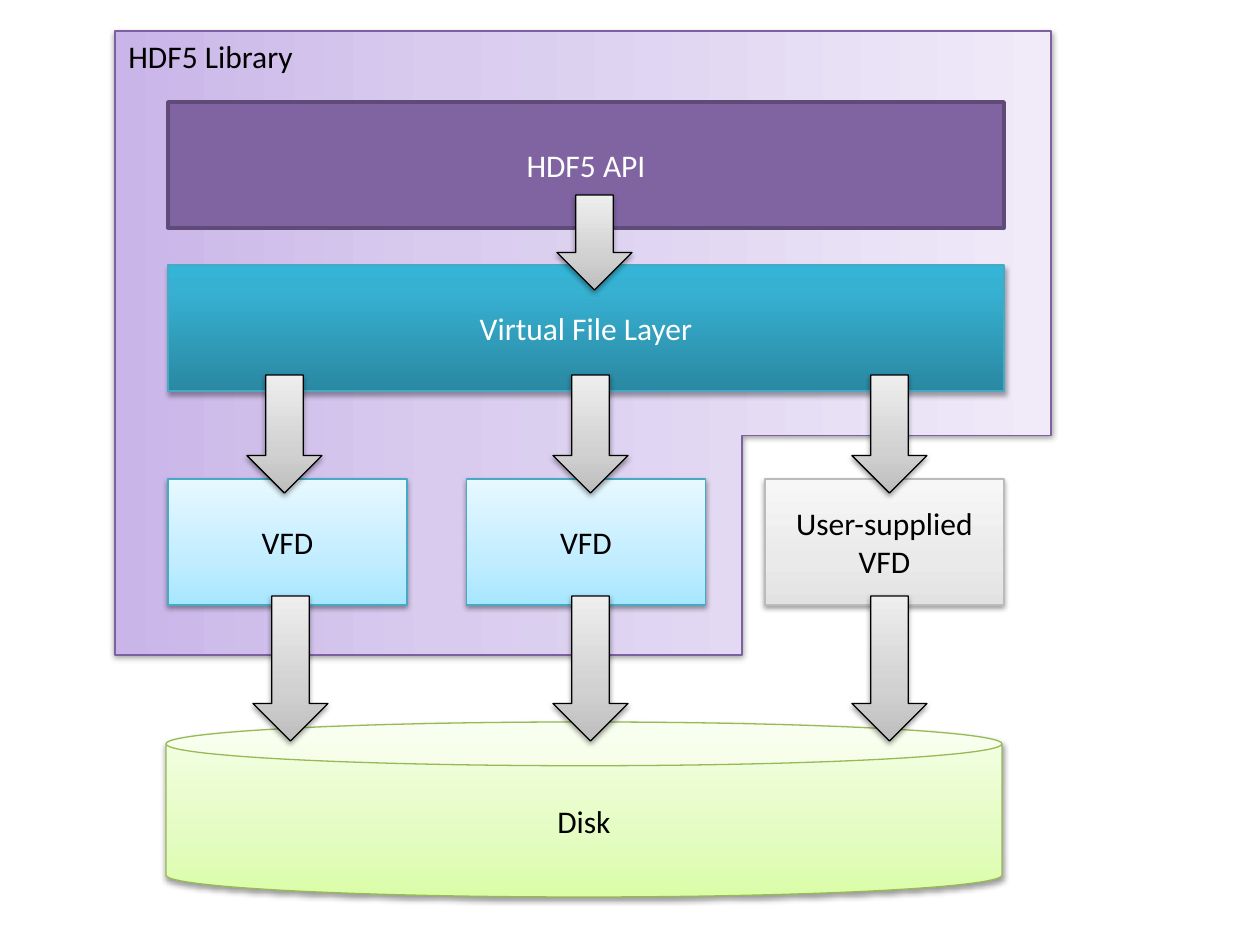
from copy import deepcopy

from lxml import etree
from pptx import Presentation
from pptx import util as u
from pptx.dml.color import RGBColor
from pptx.enum import shapes, text
from pptx.oxml.ns import qn

SHAPE = shapes.MSO_SHAPE
FONT = "Calibri"
COLORS = {
    "api": "8064A2", "api_line": "5F4A78", "library_line": "7D60A0",
    "layer_line": "46AAC5", "user_line": "BBBBBB", "disk_line": "98B955",
    "white": "FFFFFF", "black": "000000",
}
SOFT_STOPS = (0, 0.35, 1)
GRADIENTS = {
    "library": (SOFT_STOPS, ("C9B5E8", "D8CBEE", "F0EAF9")),
    "layer": ((0, 0.8, 1), ("2A88A2", "37B1D2", "34B4D6")),
    "driver": (SOFT_STOPS, ("A7E6FF", "C1EDFF", "E7F8FF")),
    "user": (SOFT_STOPS, ("E2E2E2", "EAEAEA", "F7F7F7")),
    "disk": (SOFT_STOPS, ("DAFDA7", "E4FCC2", "F5FFE7")),
    "arrow": (SOFT_STOPS, ("BDBDBD", "D1D1D1", "EEEEEE")),
}


def px(n):
    return u.Emu(round(n * 914400 / 126))


def color(name):
    return RGBColor.from_string(COLORS[name])


def set_gradient(sp, name):
    positions, hexes = GRADIENTS[name]
    sp.fill.gradient()
    sp.fill.gradient_angle = 90
    stops = sp._element.spPr.find(".//" + qn("a:gsLst"))
    stops.append(deepcopy(stops[-1]))
    for stop, position, value in zip(sp.fill.gradient_stops, positions, hexes):
        stop.position = position
        stop.color.rgb = RGBColor.from_string(value)


def set_shadow(sp, alpha, distance):
    effects = sp._element.spPr.find(qn("a:effectLst"))
    shadow = etree.SubElement(
        effects, qn("a:outerShdw"), blurRad=str(u.Pt(3.1)),
        dist=str(u.Pt(distance)), dir="5400000", rotWithShape="0")
    rgb = etree.SubElement(shadow, qn("a:srgbClr"), val=COLORS["black"])
    etree.SubElement(rgb, qn("a:alpha"), val=str(alpha * 1000))


def write(sp, words, ink, align):
    tf = sp.text_frame
    tf.word_wrap = True
    p = tf.paragraphs[0]
    p.text = words
    p.alignment = align
    p.font.name, p.font.size = FONT, u.Pt(18)
    p.font.color.rgb = color(ink)


def add_block(s, kind, box, line, gradient=None, words=None, ink="black",
              shadow=(38, 1.6)):
    sp = s.shapes.add_shape(kind, *map(px, box))
    sp.shadow.inherit = False
    sp.line.color.rgb = color(line)
    sp.line.width = u.Pt(0.75)
    if gradient:
        set_gradient(sp, gradient)
        set_shadow(sp, *shadow)
    if words:
        write(sp, words, ink, text.PP_ALIGN.CENTER)
        sp.text_frame.vertical_anchor = text.MSO_ANCHOR.MIDDLE
    return sp


def add_library(s, box):
    x, y, w, h = box
    inset = (w - h) / 2
    sp = add_block(s, SHAPE.CORNER, (x + inset, y - inset, h, w),
                   "library_line", "library")
    sp.rotation = 90
    sp.adjustments[0], sp.adjustments[1] = 1.005, 0.648


def add_title(s, box):
    title = s.shapes.add_textbox(*map(px, box))
    write(title, "HDF5 Library", "black", text.PP_ALIGN.LEFT)


def add_layers(s, box):
    x, y, w, h = box
    layer_h = 126
    api = add_block(s, SHAPE.RECTANGLE, (x, y, w, layer_h), "api_line",
                    words="HDF5 API", ink="white")
    api.fill.solid()
    api.fill.fore_color.rgb = color("api")
    api.line.width = u.Pt(2)
    add_block(s, SHAPE.RECTANGLE, (x, y + h - layer_h, w, layer_h),
              "layer_line", "layer", "Virtual File Layer", "white", (35, 1.8))


def add_drivers(s, box):
    x, y, w, h = box
    driver_w = 239
    step = (w - driver_w) / 2
    drivers = (("VFD", "layer_line", "driver"),
               ("VFD", "layer_line", "driver"),
               ("User-supplied VFD", "user_line", "user"))
    for i, (words, line, gradient) in enumerate(drivers):
        add_block(s, SHAPE.RECTANGLE, (x + i * step, y, driver_w, h),
                  line, gradient, words)


def add_disk(s, box):
    add_block(s, SHAPE.CAN, box, "disk_line", "disk", "Disk")


def add_arrows(s, box, offsets):
    x, y, w, h = box
    for offset in offsets:
        add_block(s, SHAPE.DOWN_ARROW, (x + offset, y, w, h), "black", "arrow")


def main():
    prs = Presentation()
    prs.slide_width, prs.slide_height = u.Inches(10), u.Inches(7.5)
    s = prs.slides.add_slide(prs.slide_layouts[6])
    add_library(s, (115, 31, 936, 624))
    add_layers(s, (168, 102, 836, 289))
    add_drivers(s, (168, 479, 836, 126))
    add_disk(s, (166, 722, 836, 175))
    add_title(s, (116, 31, 572, 50))
    add_arrows(s, (168, 375, 75, 118), (79, 385, 684))
    add_arrows(s, (168, 596, 75, 145), (85, 385, 684))
    add_arrows(s, (168, 195, 75, 95), (389,))
    prs.save("out.pptx")


if __name__ == "__main__":
    main()
